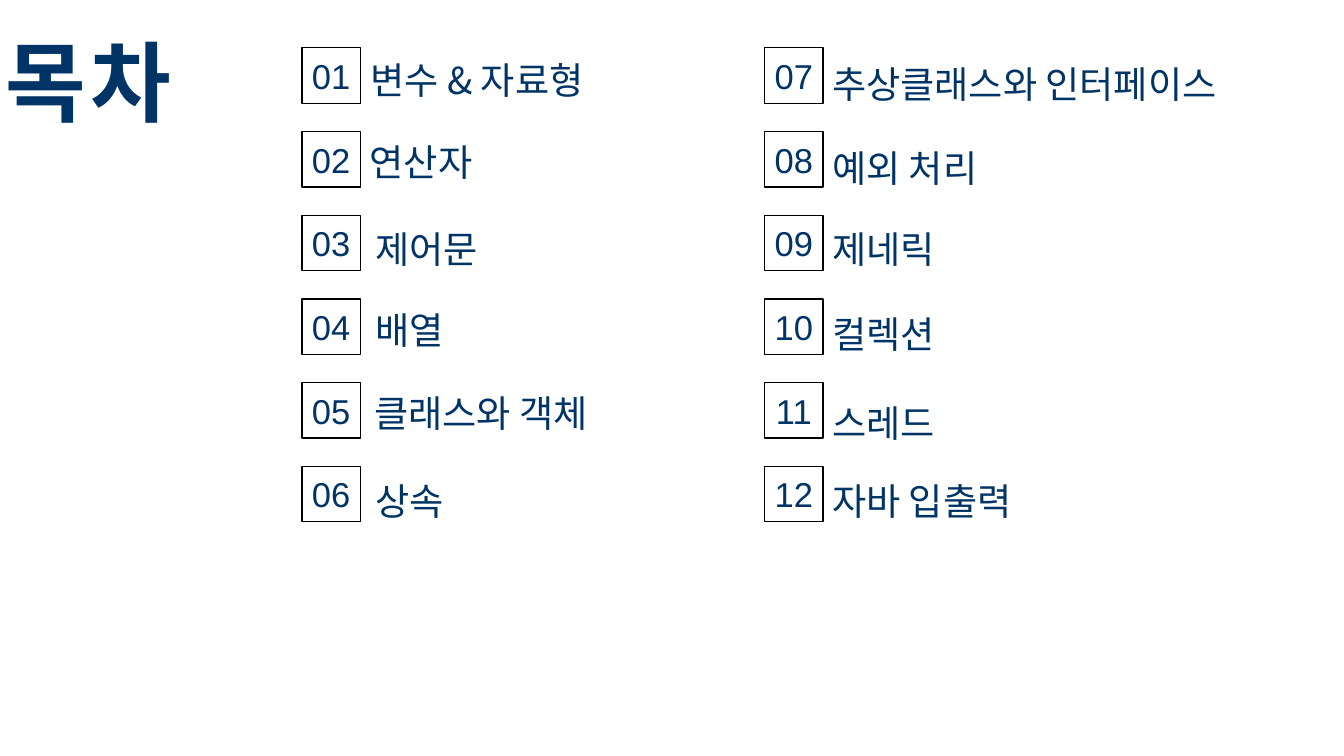
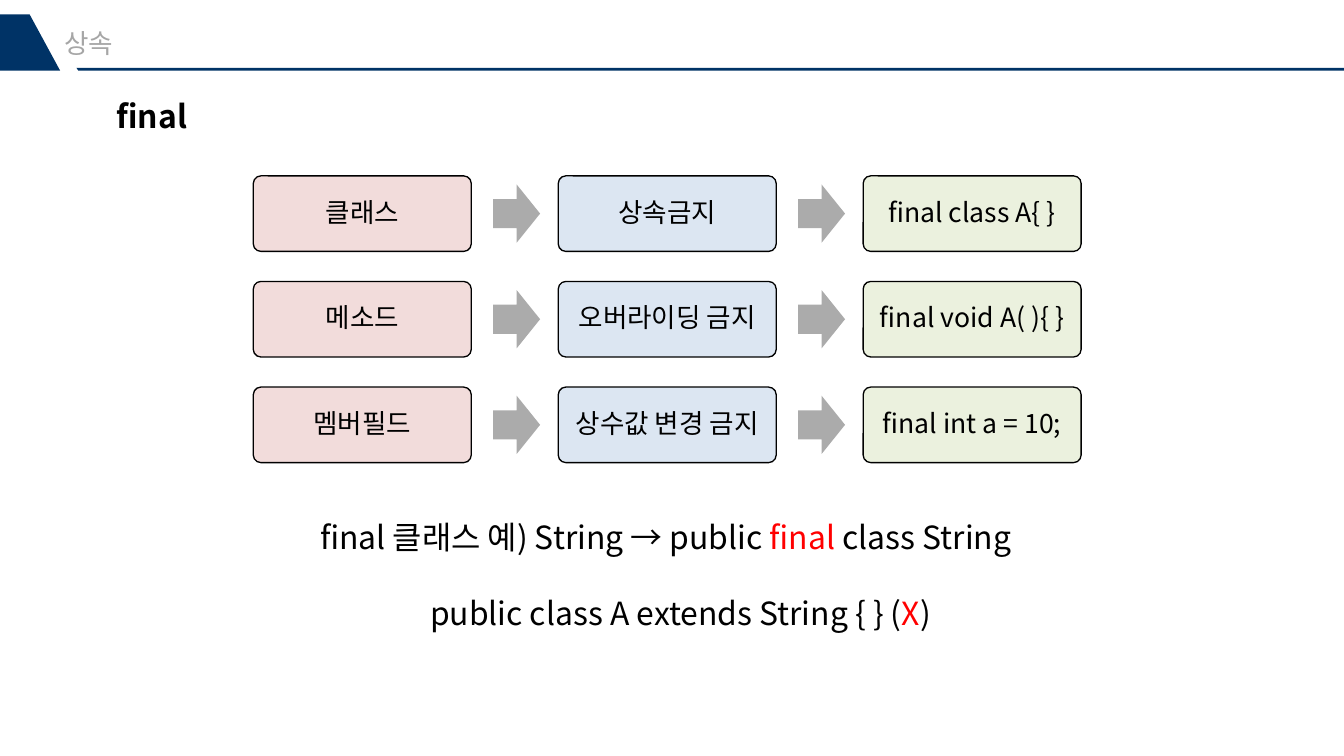
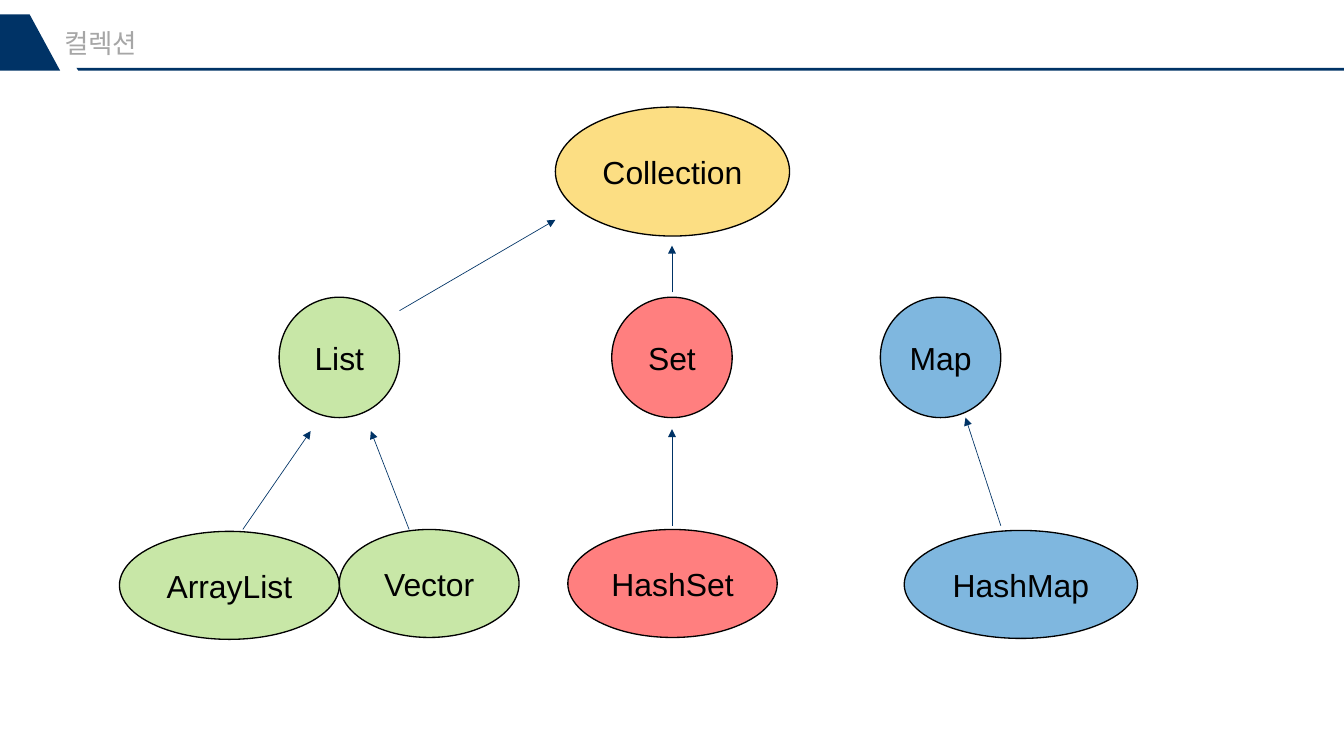
from lxml import etree
from pptx import Presentation
from pptx.dml.color import RGBColor
from pptx.enum import shapes, text
from pptx.oxml.ns import qn
from pptx.util import Inches, Pt

NAVY = RGBColor(0x00, 0x33, 0x66)
BLACK = RGBColor(0x00, 0x00, 0x00)
RED = RGBColor(0xFF, 0x00, 0x00)
HEADER_GRAY = RGBColor(0xA6, 0xA6, 0xA6)
ARROW_GRAY = RGBColor(0xAB, 0xAB, 0xAB)
PINK = RGBColor(0xF2, 0xDC, 0xDB)
PALE_BLUE = RGBColor(0xDC, 0xE6, 0xF2)
PALE_GREEN = RGBColor(0xEB, 0xF1, 0xDE)
GREEN = RGBColor(0x92, 0xD0, 0x50)
BLUE = RGBColor(0x00, 0x70, 0xC0)
AMBER = RGBColor(0xFB, 0xBF, 0x09)

KOREAN = "Noto Sans CJK KR"
LATIN = "Arial"
WIDTH, HEIGHT = 14.06, 7.91
LEFT, CENTER, JUSTIFY = (text.PP_ALIGN.LEFT, text.PP_ALIGN.CENTER,
                         text.PP_ALIGN.JUSTIFY)
TOP, MIDDLE = text.MSO_ANCHOR.TOP, text.MSO_ANCHOR.MIDDLE
KIND = shapes.MSO_SHAPE


class Deck:
    """Holds the shared style and the slide being built."""

    def __init__(self):
        self.prs = Presentation()
        self.prs.slide_width = Inches(WIDTH)
        self.prs.slide_height = Inches(HEIGHT)
        self.slide = None

    def new_slide(self):
        self.slide = self.prs.slides.add_slide(self.prs.slide_layouts[5])

    def set_text(self, frame, runs, size, color=BLACK, font=KOREAN, bold=False,
                 align=LEFT, anchor=TOP, insets=(0.1, 0.05), line_spacing=None,
                 before=None, after=None, tracking=None):
        """Fill a frame with one paragraph; a run is text or (text, colour)."""
        frame.word_wrap = True
        frame.auto_size = text.MSO_AUTO_SIZE.NONE
        frame.vertical_anchor = anchor
        frame.margin_left = frame.margin_right = Inches(insets[0])
        frame.margin_top = frame.margin_bottom = Inches(insets[1])
        para = frame.paragraphs[0]
        para.alignment = align
        if line_spacing:
            para.line_spacing = line_spacing
        if before:
            para.space_before = Pt(before)
        if after:
            para.space_after = Pt(after)
        for part in [runs] if isinstance(runs, str) else runs:
            words, run_color = (part, color) if isinstance(part, str) else part
            run = para.add_run()
            run.text = words
            run.font.size = Pt(size)
            run.font.bold = bold
            run.font.color.rgb = run_color
            run.font.name = font
            # East Asian letters take their own typeface entry
            props = run._r.get_or_add_rPr()
            etree.SubElement(props, qn("a:ea")).set("typeface", font)
            if tracking:
                props.set("spc", str(tracking * 100))

    def title(self, words, box, size, **style):
        holder = self.slide.shapes.title
        holder.left, holder.top, holder.width, holder.height = map(Inches, box)
        self.set_text(holder.text_frame, words, size, **style)

    def label(self, runs, box, size, **style):
        holder = self.slide.shapes.add_textbox(*map(Inches, box))
        self.set_text(holder.text_frame, runs, size, **style)

    def shape(self, kind, box, fill=None, outlined=True, opacity=None):
        item = self.slide.shapes.add_shape(kind, *map(Inches, box))
        item.shadow.inherit = False
        if fill is None:
            item.fill.background()
        else:
            item.fill.solid()
            item.fill.fore_color.rgb = fill
        if opacity:
            tint = item._element.spPr.find(qn("a:solidFill")).find(qn("a:srgbClr"))
            etree.SubElement(tint, qn("a:alpha")).set("val", str(opacity * 1000))
        if outlined:
            item.line.color.rgb = BLACK
            item.line.width = Pt(1)
        else:
            item.line.fill.background()
        return item

    def polygon(self, points):
        corners = [(Inches(x), Inches(y)) for x, y in points]
        builder = self.slide.shapes.build_freeform(*corners[0])
        builder.add_line_segments(corners[1:], close=True)
        item = builder.convert_to_shape()
        item.shadow.inherit = False
        item.fill.solid()
        item.fill.fore_color.rgb = NAVY
        item.line.fill.background()

    def arrow(self, start, end):
        link = self.slide.shapes.add_connector(
            shapes.MSO_CONNECTOR.STRAIGHT, *map(Inches, (*start, *end)))
        link.line.color.rgb = NAVY
        link.line.width = Pt(0.5)
        props = link._element.spPr
        etree.SubElement(props.find(qn("a:ln")),
                         qn("a:tailEnd")).set("type", "triangle")
        etree.SubElement(props, qn("a:effectLst"))

    def chapter_slide(self, chapter):
        """Start a slide with the navy band and the chapter name."""
        self.new_slide()
        self.polygon([(0.8, 0.71), (WIDTH, 0.71), (WIDTH, 0.74), (0.82, 0.74)])
        self.polygon([(0.31, 0.15), (0.63, 0.74), (0, 0.74), (0, 0.15)])
        self.title(chapter, (0.67, 0.28, 3.35, 0.34), 20, color=HEADER_GRAY,
                   insets=(0, 0), before=5, after=6)


def contents(deck):
    deck.new_slide()
    deck.title("목차", (-0.04, 0.02, 2.71, 1.43), 66, color=NAVY, bold=True,
               line_spacing=1.2, tracking=3)
    # Chapter name, left and top of its label
    chapters = [
        ("변수 & 자료형", 3.78, 0.46), ("연산자", 3.77, 1.32),
        ("제어문", 3.83, 2.23), ("배열", 3.83, 3.07),
        ("클래스와 객체", 3.82, 3.94), ("상속", 3.83, 4.86),
        ("추상클래스와 인터페이스", 8.61, 0.5), ("예외 처리", 8.61, 1.38),
        ("제네릭", 8.61, 2.23), ("컬렉션", 8.61, 3.12),
        ("스레드", 8.61, 4.05), ("자바 입출력", 8.61, 4.86),
    ]
    rows = 6
    pitch = (4.88 - 0.5) / (rows - 1)
    for index, (chapter, left, top) in enumerate(chapters):
        column, row = divmod(index, rows)
        number = deck.shape(KIND.RECTANGLE, (3.16 + column * 4.84,
                                             0.5 + row * pitch, 0.61, 0.58))
        deck.set_text(number.text_frame, f"{index + 1:02}", 26, color=NAVY,
                      font=LATIN, align=CENTER, anchor=MIDDLE)
        deck.label(chapter, (left, top, 4.6, 0.67), 28, color=NAVY,
                   align=JUSTIFY, line_spacing=1.2)


def final_keyword(deck):
    deck.chapter_slide("상속")
    deck.label("final", (1.12, 0.96, 1.82, 0.5), 24, bold=True)

    # Target, effect and example of each use
    uses = [
        ("클래스", "상속금지", "final class A{ }"),
        ("메소드", "오버라이딩 금지", "final void A( ){ }"),
        ("멤버필드", "상수값 변경 금지", "final int a = 10;"),
    ]
    fills = (PINK, PALE_BLUE, PALE_GREEN)
    pitch = (4.05 - 1.84) / (len(uses) - 1)
    for row, use in enumerate(uses):
        top = 1.84 + row * pitch
        for column, (words, fill) in enumerate(zip(use, fills)):
            left = 2.65 + column * 3.19
            card = deck.shape(KIND.ROUNDED_RECTANGLE, (left, top, 2.28, 0.79), fill)
            card.adjustments[0] = 0.1
            deck.set_text(card.text_frame, words, 20, align=CENTER, anchor=MIDDLE,
                          insets=(0.11, 0.11), line_spacing=0.9, after=11)
            if column < len(use) - 1:
                deck.shape(KIND.RIGHT_ARROW, (left + 2.51, top + 0.09, 0.49, 0.61),
                           ARROW_GRAY, outlined=False)

    # Example of a final class
    deck.label(["final 클래스 예) String → public ", ("final", RED),
                " class String"], (3.25, 5.37, 8.86, 0.5), 24)
    deck.label(["public class A extends String { } (", ("X", RED), ")"],
               (4.4, 6.16, 7.71, 0.5), 24)


def collections_tree(deck):
    deck.chapter_slide("컬렉션")
    types = [
        ("List", (2.92, 3.11, 1.26, 1.26), GREEN),
        ("Set", (6.4, 3.11, 1.26, 1.26), RED),
        ("Map", (9.21, 3.11, 1.26, 1.26), BLUE),
        ("Collection", (5.81, 1.12, 2.45, 1.35), AMBER),
        ("ArrayList", (1.25, 5.56, 2.3, 1.13), GREEN),
        ("Vector", (3.55, 5.54, 1.88, 1.13), GREEN),
        ("HashSet", (5.94, 5.54, 2.19, 1.13), RED),
        ("HashMap", (9.46, 5.55, 2.44, 1.13), BLUE),
    ]
    for name, box, fill in types:
        node = deck.shape(KIND.FLOWCHART_CONNECTOR, box, fill, opacity=50)
        deck.set_text(node.text_frame, name, 24, font=LATIN, align=CENTER,
                      anchor=MIDDLE)

    # Arrows from each type to its parent
    parent_links = [
        ((4.18, 3.25), (5.81, 2.3)),
        ((7.03, 3.06), (7.03, 2.57)),
        ((2.54, 5.54), (3.25, 4.51)),
        ((4.28, 5.54), (3.88, 4.51)),
        ((7.03, 5.5), (7.03, 4.49)),
        ((10.47, 5.5), (10.1, 4.37)),
    ]
    for child, parent in parent_links:
        deck.arrow(child, parent)


def main():
    deck = Deck()
    contents(deck)
    final_keyword(deck)
    collections_tree(deck)
    deck.prs.save("out.pptx")


if __name__ == "__main__":
    main()
